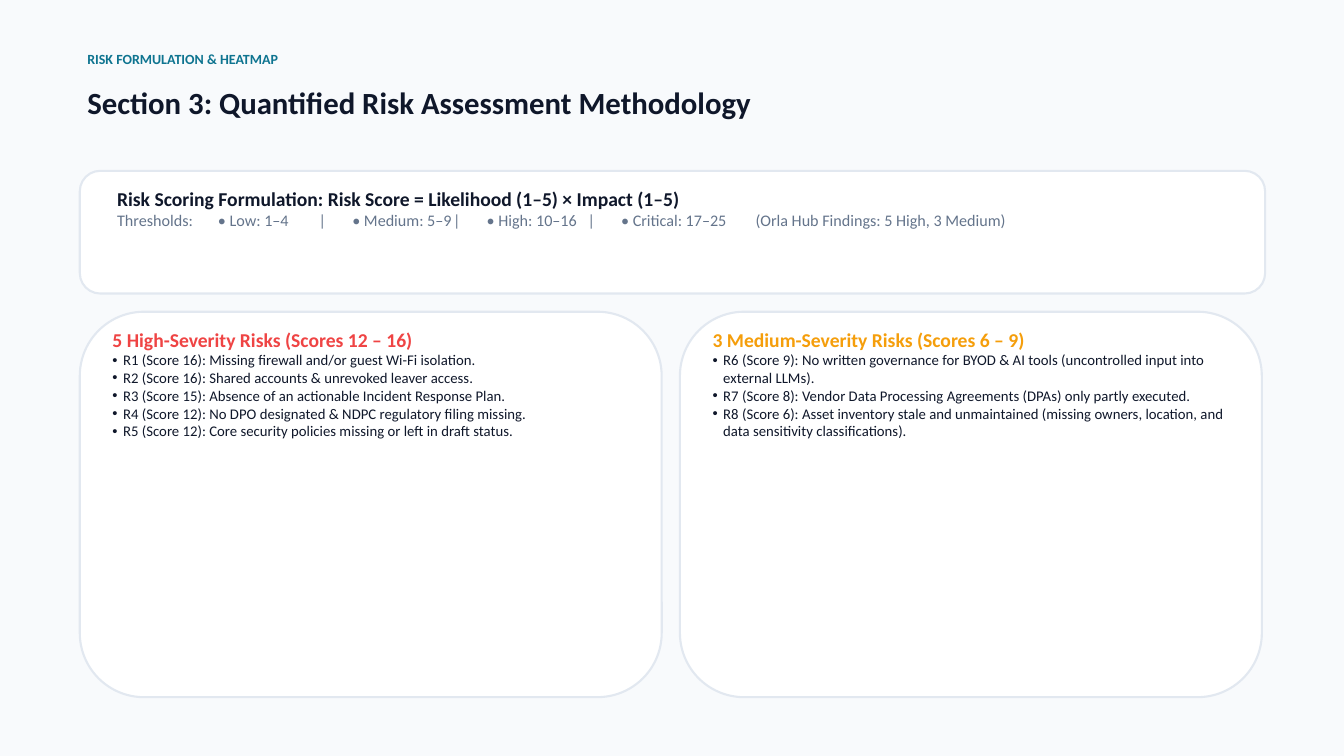
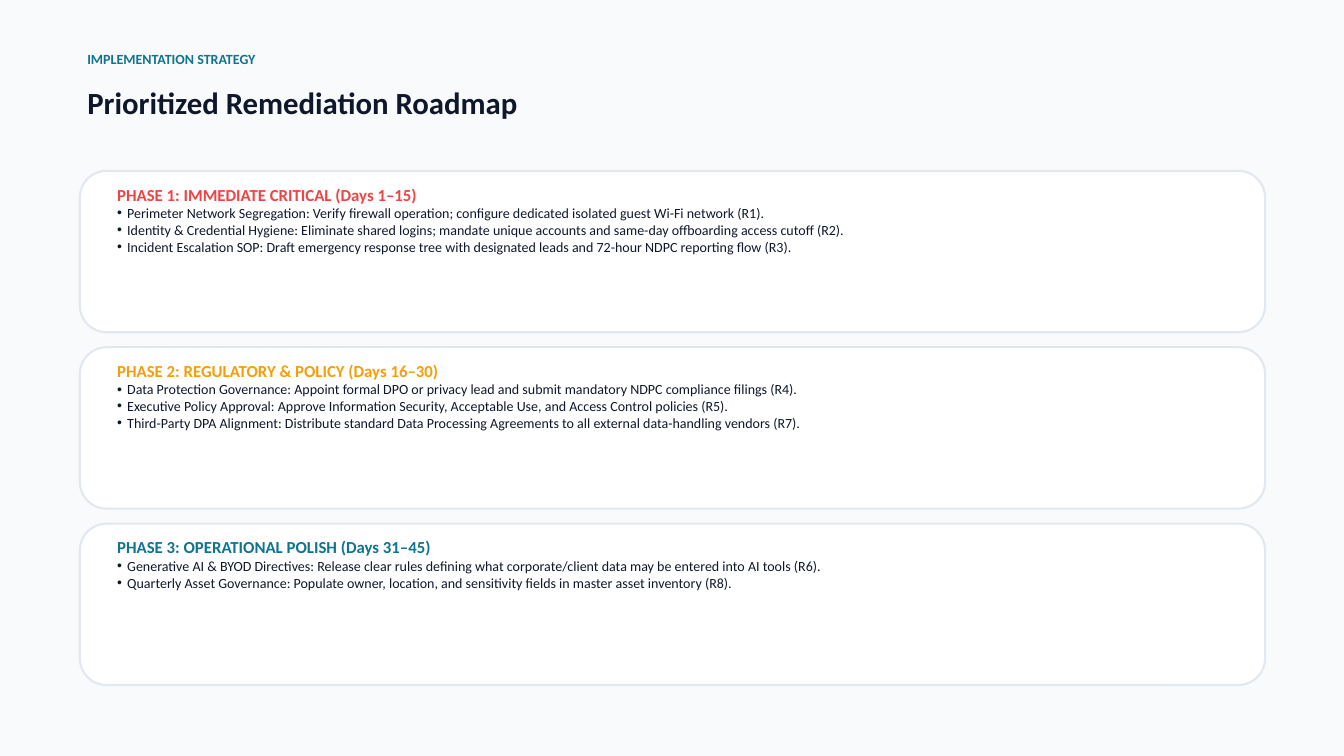
import pptx
import pptx.util
import pptx.dml.color
import pptx.enum.shapes
import pptx.enum.text
import pptx.oxml

Pt = pptx.util.Pt
ENUM = pptx.enum.text
FONT = "Calibri"
HEX = {
    "back": "F8FAFC", "card": "FFFFFF", "edge": "E2E8F0", "ink": "0F172A",
    "muted": "64748B", "teal": "0E7490", "red": "EF4444", "amber": "F59E0B",
}

# Shared layout, in points
LEFT, TOP, WIDE = 85.5, 183, 1270
HEAD_X, HEAD_W = 93.5, 1250
FRAME = {
    "margin_left": 0, "margin_top": 0, "margin_right": 0, "margin_bottom": 0,
    "word_wrap": True, "auto_size": ENUM.MSO_AUTO_SIZE.NONE,
    "vertical_anchor": ENUM.MSO_ANCHOR.TOP,
}
SCORE_TABS = (89, 173, 188, 304, 318, 424, 438, 563)


def color(name):
    return pptx.dml.color.RGBColor.from_string(HEX[name])


def apply(item, values):
    for key, value in values.items():
        setattr(item, key, value)


def add_xml(props, tag, attrs="", inner=""):
    space = "http://schemas.openxmlformats.org/drawingml/2006/main"
    props.append(pptx.oxml.parse_xml(
        f'<a:{tag} xmlns:a="{space}" {attrs}>{inner}</a:{tag}>'))


def write(para, text, size, tint, bold=False, bullet=False, tabs=()):
    """Fill one paragraph; a bullet hangs by its own width."""
    hang = Pt(round(size * 0.72, 2)) if bullet else 0
    props = para._p.get_or_add_pPr()
    props.set("marL", str(int(hang)))
    props.set("indent", str(-int(hang)))
    if bullet:
        add_xml(props, "buChar", 'char="•"')
    else:
        add_xml(props, "buNone")
    if tabs:
        stops = "".join(f'<a:tab pos="{int(Pt(x))}" algn="l"/>' for x in tabs)
        add_xml(props, "tabLst", inner=stops)
    apply(para, {"alignment": ENUM.PP_ALIGN.LEFT, "space_before": Pt(0),
                 "line_spacing": Pt(round(size * 1.2, 1))})
    run = para.add_run()
    run.text = text
    apply(run.font, {"name": FONT, "size": Pt(size), "bold": bold})
    run.font.color.rgb = color(tint)


def fill_box(holder, box, lines):
    """Place a placeholder and write its lines."""
    for key, value in zip(("left", "top", "width", "height"), box):
        setattr(holder, key, Pt(value))
    frame = holder.text_frame
    apply(frame, FRAME)
    for i, line in enumerate(lines):
        write(frame.add_paragraph() if i else frame.paragraphs[0], **line)


def heading(text, size, tint):
    return {"text": text, "size": size, "tint": tint, "bold": True}


def bullets(texts, size):
    return [{"text": text, "size": size, "tint": "ink", "bullet": True}
            for text in texts]


def add_card(slide, index, box, pad, lines):
    """Draw a rounded card behind the placeholder that holds its text."""
    x, y, w, h = box
    dx, dy = pad
    card = slide.shapes.add_shape(
        pptx.enum.shapes.MSO_SHAPE.ROUNDED_RECTANGLE, *map(Pt, box))
    card.shadow.inherit = False
    card.fill.solid()
    card.fill.fore_color.rgb = color("card")
    card.line.color.rgb = color("edge")
    card.line.width = Pt(2.25)
    holder = slide.placeholders[index]
    holder.element.addprevious(card.element)
    fill_box(holder, (x + dx, y + dy, w - 2 * dx, h - 2 * dy), lines)


def add_page(deck, topic, title):
    """Start a slide with its topic line and title."""
    slide = deck.slides.add_slide(deck.slide_layouts.get_by_name("Comparison"))
    fill_box(slide.placeholders[1], (HEAD_X, 54.5, HEAD_W, 34),
             [heading(topic, 15, "teal")])
    fill_box(slide.shapes.title, (HEAD_X, 90, HEAD_W, 68),
             [heading(title, 33, "ink")])
    return slide


def risk_page(deck):
    slide = add_page(deck, "RISK FORMULATION & HEATMAP",
                     "Section 3: Quantified Risk Assessment Methodology")
    # Scoring rule
    add_card(slide, 2, (LEFT, TOP, WIDE, 131.5), (40, 17), [
        heading("Risk Scoring Formulation: Risk Score = "
                "Likelihood (1–5) × Impact (1–5)", 21, "ink"),
        {"text": "Thresholds:\t• Low: 1–4\t|\t• Medium: 5–9\t|\t• High: 10–16"
                 "\t|\t• Critical: 17–25\t(Orla Hub Findings: 5 High, 3 Medium)",
         "size": 17.3, "tint": "muted", "tabs": SCORE_TABS},
    ])
    # Risk columns
    groups = [
        ("5 High-Severity Risks (Scores 12 – 16)", "red", [
            "R1 (Score 16): Missing firewall and/or guest Wi-Fi isolation.",
            "R2 (Score 16): Shared accounts & unrevoked leaver access.",
            "R3 (Score 15): Absence of an actionable Incident Response Plan.",
            "R4 (Score 12): No DPO designated & NDPC regulatory filing missing.",
            "R5 (Score 12): Core security policies missing or left in draft status.",
        ]),
        ("3 Medium-Severity Risks (Scores 6 – 9)", "amber", [
            "R6 (Score 9): No written governance for BYOD & AI tools "
            "(uncontrolled input into external LLMs).",
            "R7 (Score 8): Vendor Data Processing Agreements (DPAs) "
            "only partly executed.",
            "R8 (Score 6): Asset inventory stale and unmaintained (missing "
            "owners, location, and data sensitivity classifications).",
        ]),
    ]
    for i, (name, tint, risks) in enumerate(groups):
        add_card(slide, 3 + i, (LEFT + i * 643, 334, 623.5, 413), (35, 17),
                 [heading(name, 21, tint)] + bullets(risks, 15.8))


def phase_page(deck):
    slide = add_page(deck, "IMPLEMENTATION STRATEGY",
                     "Prioritized Remediation Roadmap")
    # Phase rows
    phases = [
        ("PHASE 1: IMMEDIATE CRITICAL (Days 1–15)", "red", [
            "Perimeter Network Segregation: Verify firewall operation; "
            "configure dedicated isolated guest Wi-Fi network (R1).",
            "Identity & Credential Hygiene: Eliminate shared logins; mandate "
            "unique accounts and same-day offboarding access cutoff (R2).",
            "Incident Escalation SOP: Draft emergency response tree with "
            "designated leads and 72-hour NDPC reporting flow (R3).",
        ]),
        ("PHASE 2: REGULATORY & POLICY (Days 16–30)", "amber", [
            "Data Protection Governance: Appoint formal DPO or privacy lead "
            "and submit mandatory NDPC compliance filings (R4).",
            "Executive Policy Approval: Approve Information Security, "
            "Acceptable Use, and Access Control policies (R5).",
            "Third-Party DPA Alignment: Distribute standard Data Processing "
            "Agreements to all external data-handling vendors (R7).",
        ]),
        ("PHASE 3: OPERATIONAL POLISH (Days 31–45)", "teal", [
            "Generative AI & BYOD Directives: Release clear rules defining what "
            "corporate/client data may be entered into AI tools (R6).",
            "Quarterly Asset Governance: Populate owner, location, and "
            "sensitivity fields in master asset inventory (R8).",
        ]),
    ]
    for i, (name, tint, tasks) in enumerate(phases):
        add_card(slide, 2 + i, (LEFT, TOP + i * 189, WIDE, 173), (40, 14.5),
                 [heading(name, 18, tint)] + bullets(tasks, 15))


def main():
    deck = pptx.Presentation()
    apply(deck, {"slide_width": Pt(1440), "slide_height": Pt(810)})
    back = deck.slide_master.background.fill
    back.solid()
    back.fore_color.rgb = color("back")
    risk_page(deck)
    phase_page(deck)
    deck.save("out.pptx")


if __name__ == "__main__":
    main()
